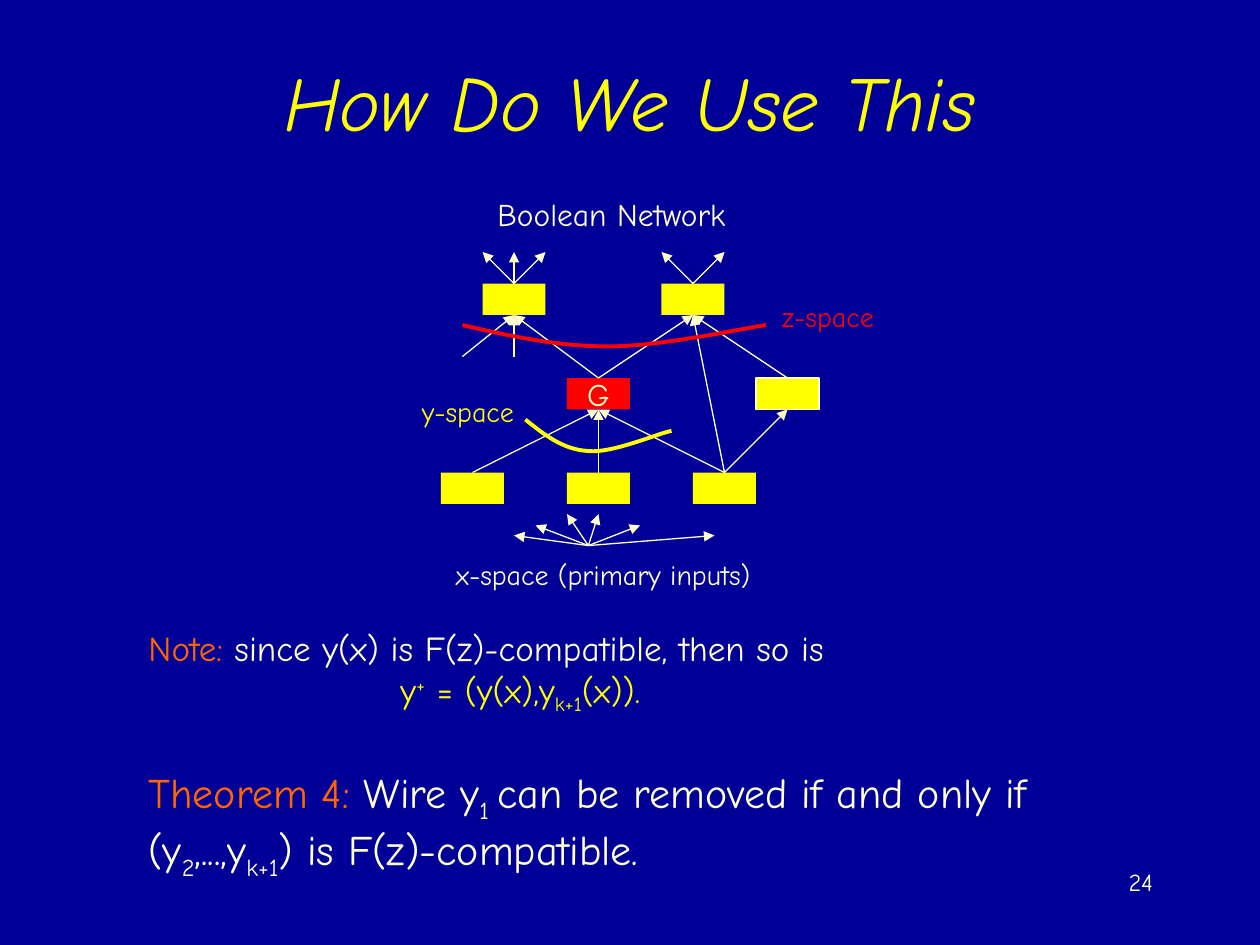
from pptx import Presentation
from pptx.dml.color import RGBColor
from pptx.enum.shapes import MSO_CONNECTOR, MSO_SHAPE
from pptx.enum.text import MSO_ANCHOR, PP_ALIGN
from pptx.oxml.ns import qn
from pptx.util import Inches, Pt
from lxml.etree import SubElement

FONT = "Comic Neue"
YELLOW, CREAM, RED, ORANGE = "FFFF00", "FFFFCC", "FF0000", "FF6600"
color = RGBColor.from_string


def add_spans(para, size, spans):
    """Add (text, colour, baseline percent) runs; a lone newline is a line break."""
    for text, hex_color, baseline in spans:
        if text == "\n":
            para.add_line_break()
            continue
        span = para.add_run()
        span.text = text
        span.font.name = FONT
        span.font.size = Pt(size)
        span.font.color.rgb = color(hex_color)
        if baseline:
            span.font._element.set("baseline", str(baseline * 1000))


def add_text(left, top, width, height, size, spans, wrap=False):
    box = page.shapes.add_textbox(Inches(left), Inches(top), Inches(width), Inches(height))
    box.text_frame.word_wrap = wrap
    add_spans(box.text_frame.paragraphs[0], size, spans)
    return box.text_frame


deck = Presentation()
deck.slide_width, deck.slide_height = Inches(10), Inches(7.5)
page = deck.slides.add_slide(deck.slide_layouts[6])
page.background.fill.solid()
page.background.fill.fore_color.rgb = color("000099")

title = add_text(0.75, 0.17, 8.5, 1.25, 44, [("How Do We Use This", YELLOW, 0)], wrap=True)
title.vertical_anchor = MSO_ANCHOR.MIDDLE
title.paragraphs[0].alignment = PP_ALIGN.CENTER
title.paragraphs[0].runs[0].font.italic = True

# Note and theorem; the hanging indent sets the formula two inches in
body = add_text(1.08, 4.92, 7.75, 2.54, 20, [
    ("Note:", ORANGE, 0),
    (" since y(x) is F(z)-compatible, then so is", CREAM, 0),
    ("\n", CREAM, 0),
    ("y", YELLOW, 0), ("+", YELLOW, 30), (" = (y(x),y", YELLOW, 0),
    ("k+1", YELLOW, -25), ("(x)).", YELLOW, 0),
], wrap=True)
note_format = body.paragraphs[0]._p.get_or_add_pPr()
note_format.set("marL", str(Inches(2)))
note_format.set("indent", str(-Inches(2)))

theorem = body.add_paragraph()
theorem.space_before = Pt(29)
add_spans(theorem, 24, [
    ("Theorem 4: ", ORANGE, 0),
    ("Wire y", CREAM, 0), ("1 ", CREAM, -25), ("can be removed if and only if", CREAM, 0),
    ("\n", CREAM, 0),
    ("(y", CREAM, 0), ("2", CREAM, -25), (",...,y", CREAM, 0),
    ("k+1", CREAM, -25), (") is F(z)-compatible.", CREAM, 0),
])

# Network nodes
NODE_WIDTH, NODE_HEIGHT = 0.5, 0.25
nodes = [
    (3.5, 3.75, YELLOW), (5.5, 3.75, YELLOW), (4.5, 3.75, YELLOW),
    (4.5, 3, RED), (6, 3, YELLOW), (5.25, 2.25, YELLOW), (3.83, 2.25, YELLOW),
]
for left, top, fill in nodes:
    node = page.shapes.add_shape(MSO_SHAPE.RECTANGLE, Inches(left), Inches(top),
                                 Inches(NODE_WIDTH), Inches(NODE_HEIGHT))
    node.shadow.inherit = False
    node.fill.solid()
    node.fill.fore_color.rgb = color(fill)
    if left == 6:
        node.line.color.rgb = color(CREAM)
        node.line.width = Pt(0.75)
    else:
        node.line.fill.background()
    if fill == RED:
        node.text_frame.word_wrap = False
        node.text_frame.vertical_anchor = MSO_ANCHOR.MIDDLE
        node.text_frame.paragraphs[0].alignment = PP_ALIGN.CENTER
        add_spans(node.text_frame.paragraphs[0], 18, [("G", CREAM, 0)])

# Arrows, grouped by the point they start from
arrows = {
    (3.75, 3.75): [(4.75, 3.25)],
    (4.75, 3.75): [(4.75, 3.25)],
    (5.75, 3.75): [(4.75, 3.25), (5.5, 2.5), (6.25, 3.25)],
    (6.25, 3): [(5.5, 2.5)],
    (4.75, 3): [(5.5, 2.5), (4.08, 2.5)],
    (4.08, 2.83): [(4.08, 2.5)],
    (3.67, 2.83): [(4.08, 2.5)],
    (5.5, 2.25): [(5.75, 2), (5.25, 2)],
    (4.08, 2.25): [(4.33, 2), (3.83, 2), (4.08, 2)],
    (4.67, 4.33): [(4.75, 4.08), (4.5, 4.08), (4.25, 4.17),
                   (4.08, 4.25), (5.08, 4.17), (5.67, 4.25)],
}
for start, ends in arrows.items():
    for end in ends:
        arrow = page.shapes.add_connector(MSO_CONNECTOR.STRAIGHT,
                                          *[Inches(value) for value in start + end])
        arrow.line.color.rgb = color(CREAM)
        arrow.line.width = Pt(0.75)
        SubElement(arrow.line._get_or_add_ln(), qn("a:tailEnd"), type="triangle")
        SubElement(arrow._element.spPr, qn("a:effectLst"))

# Cut lines: each is two cubic Bezier pieces, sampled into short segments
STEPS = 16
cuts = [
    (YELLOW, [(4.17, 3.33), (4.32, 3.45), (4.47, 3.57), (4.67, 3.58),
              (4.86, 3.6), (5.22, 3.44), (5.33, 3.42)]),
    (RED, [(3.67, 2.58), (4.05, 2.67), (4.43, 2.75), (4.83, 2.75),
           (5.24, 2.75), (5.88, 2.61), (6.08, 2.58)]),
]
for stroke, controls in cuts:
    points = []
    for first in (0, 3):
        for step in range(1, STEPS + 1):
            t = step / STEPS
            weights = ((1 - t) ** 3, 3 * t * (1 - t) ** 2, 3 * t ** 2 * (1 - t), t ** 3)
            piece = controls[first:first + 4]
            points.append([Inches(sum(w * point[axis] for w, point in zip(weights, piece)))
                           for axis in (0, 1)])
    builder = page.shapes.build_freeform(Inches(controls[0][0]), Inches(controls[0][1]))
    builder.add_line_segments(points, close=False)
    cut = builder.convert_to_shape()
    cut.shadow.inherit = False
    cut.fill.background()
    cut.line.color.rgb = color(stroke)
    cut.line.width = Pt(2.25)

labels = [
    (3.85, 1.5, 2.23, 0.4, 18, "Boolean Network", CREAM),
    (3.25, 3.08, 0.98, 0.37, 16, "y-space", YELLOW),
    (6.11, 2.33, 0.97, 0.37, 16, "z-space", RED),
    (3.52, 4.38, 2.71, 0.37, 16, "x-space (primary inputs)", CREAM),
]
for left, top, width, height, size, text, hex_color in labels:
    add_text(left, top, width, height, size, [(text, hex_color, 0)])

page_number = add_text(7.17, 6.83, 2.08, 0.5, 14, [("24", CREAM, 0)], wrap=True)
page_number.paragraphs[0].alignment = PP_ALIGN.RIGHT

deck.save("out.pptx")
